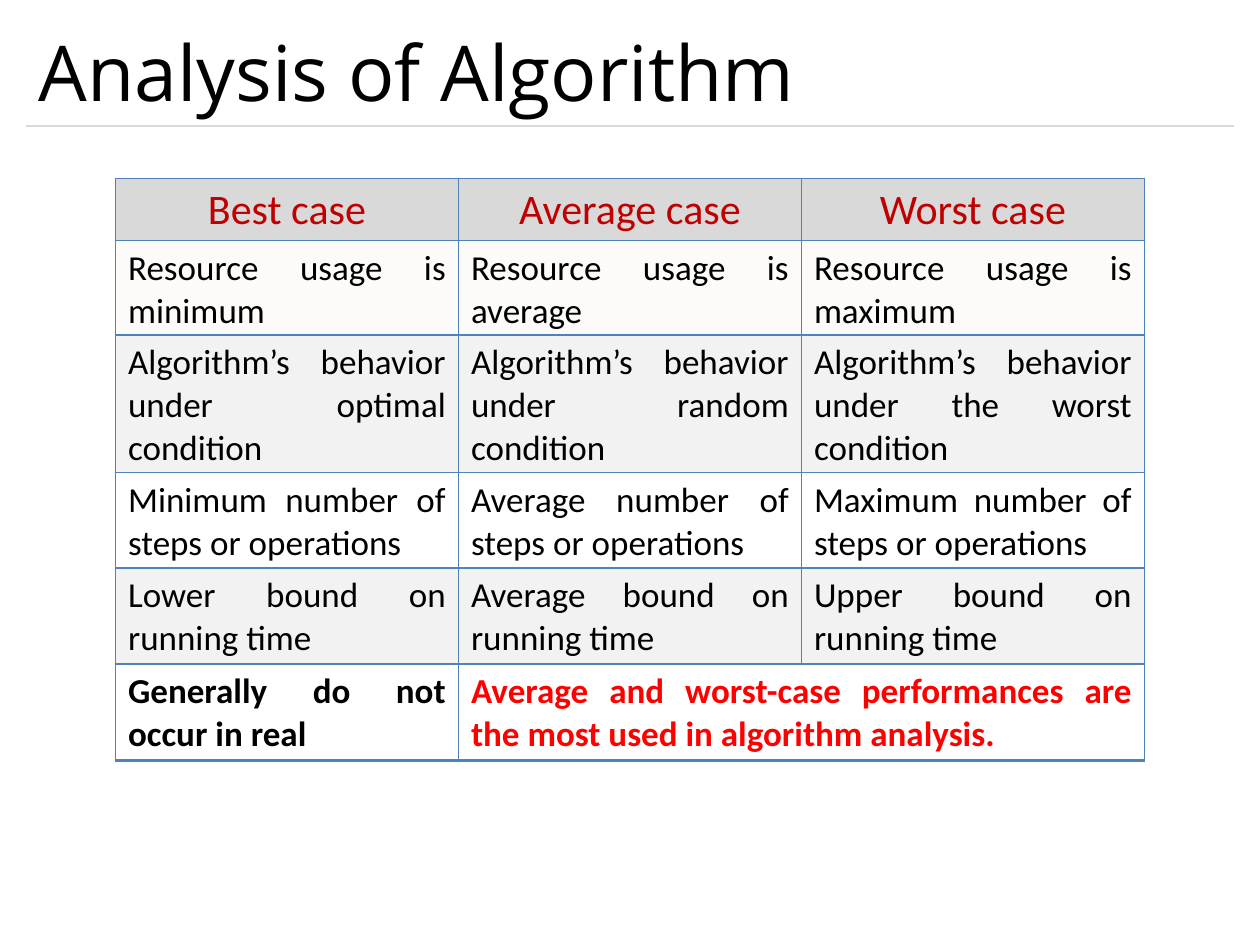
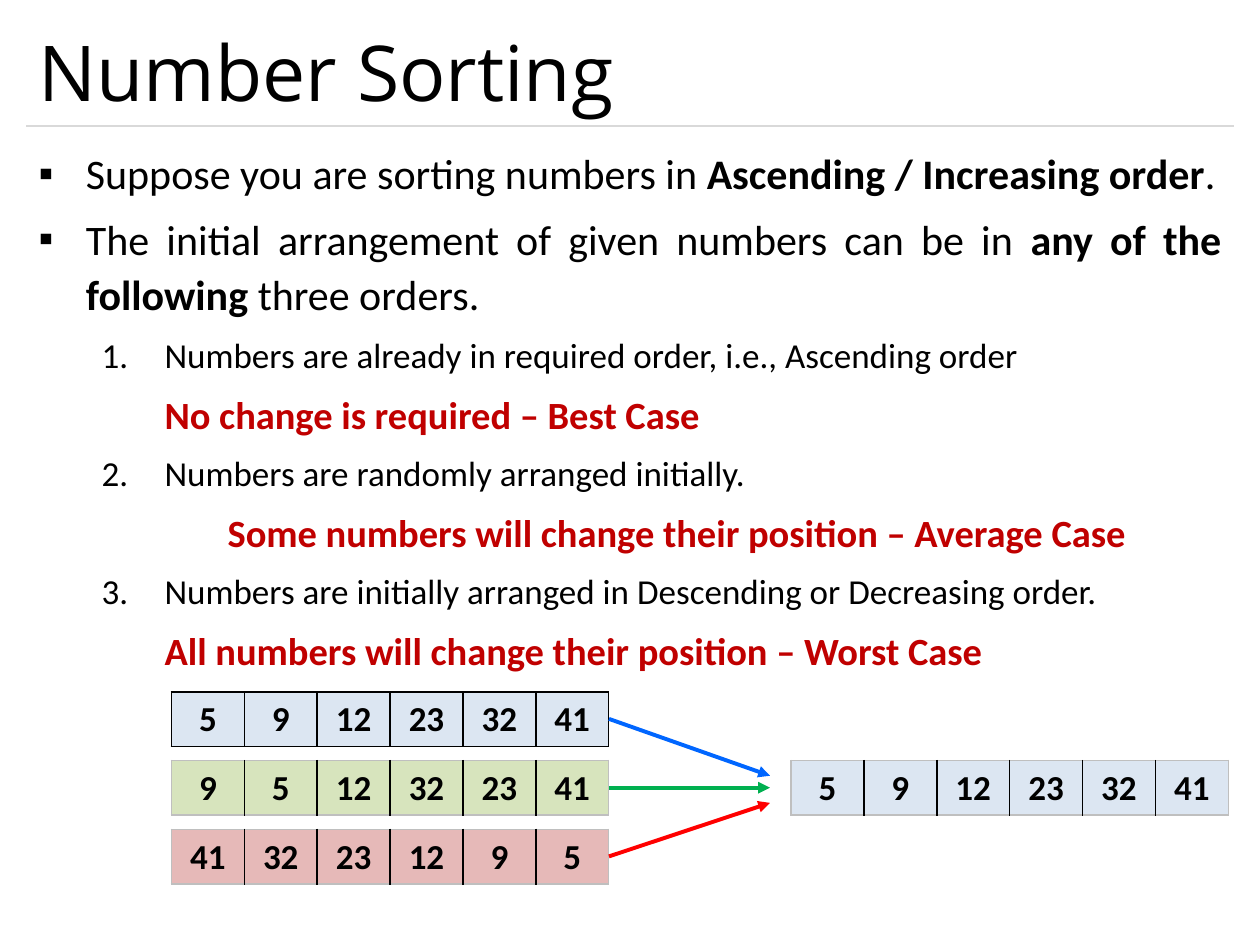
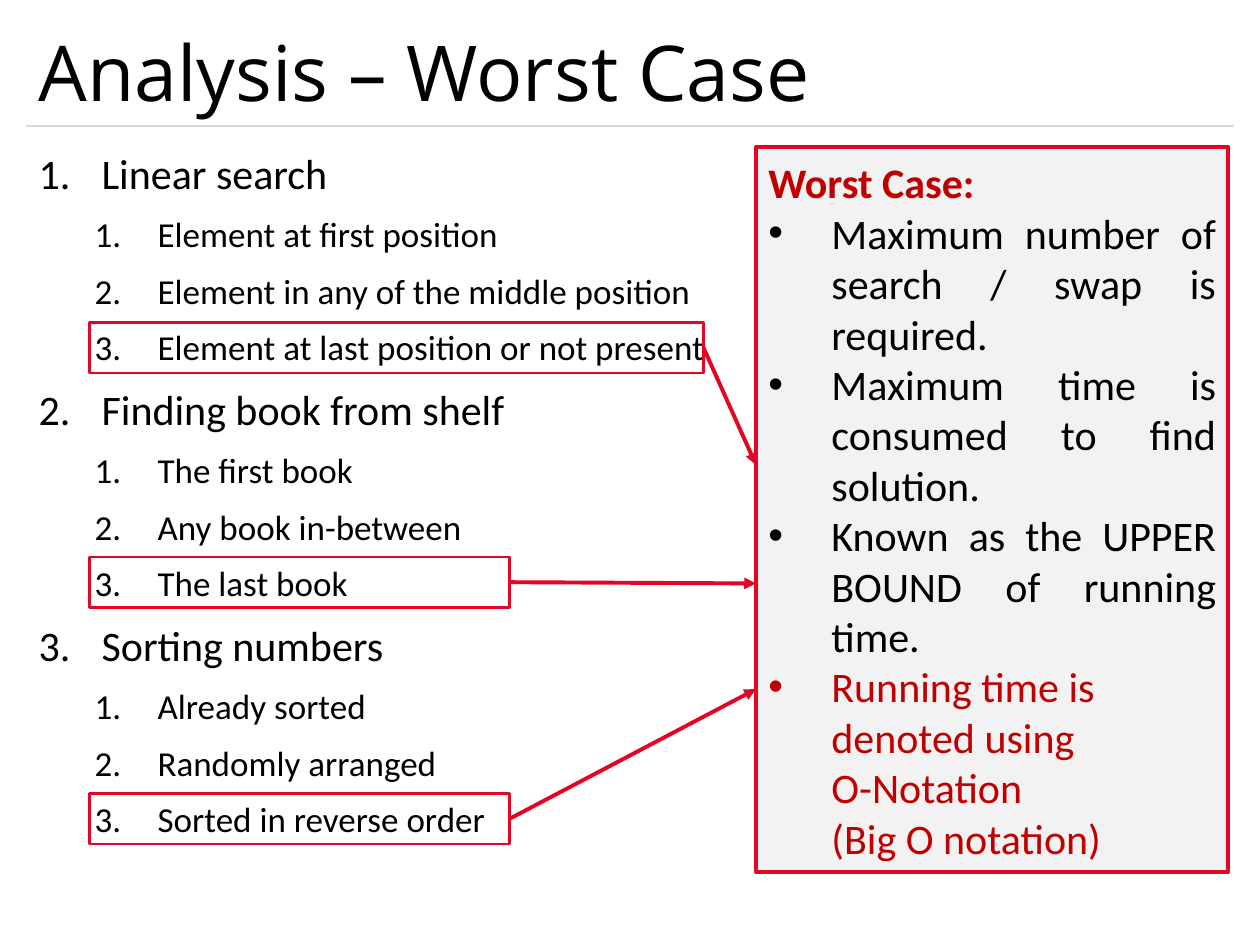
from lxml.etree import SubElement as sub_element
from pptx import Presentation
from pptx.dml.color import RGBColor as Rgb
from pptx.enum.shapes import MSO_CONNECTOR as Connector, MSO_SHAPE as Shape
from pptx.enum.text import MSO_ANCHOR as Anchor, PP_ALIGN as Align
from pptx.oxml.ns import qn
from pptx.util import Pt

COLORS = {
    "black": "000000", "white": "FFFFFF", "rule": "D9D9D9", "grid": "4F81BD",
    "header": "D9D9D9", "cream": "FCFBF9", "gray": "F2F2F2", "edge": "BFBFBF",
    "accent": "C00000", "bright": "FF0000", "frame": "E40524",
    "sorted": "DCE6F2", "random": "D7E4BD", "reverse": "E6B9B8",
    "blue arrow": "0066FF", "green arrow": "00B050",
}
TITLE_BOX = (15, 8.6, 690, 63.4)
BODY_BOX = (15, 77.8, 690, 420)

# Paragraph formats: list geometry, spacing and default font
BODY = {"align": Align.JUSTIFY, "line_spacing": 1.1, "space_after": Pt(6)}
POINT = {**BODY, "margin": 27, "hang": 27, "bullet": "▪", "size": 24}
CASE = {**BODY, "level": 1, "margin": 72, "hang": 36, "bullet": "1.", "size": 20}
RESULT = {**BODY, "level": 2, "margin": 72, "size": 22, "bold": True, "color": "accent"}
TOPIC = {**BODY, "margin": 36, "hang": 36, "bullet": "1.", "size": 24}
OPTION = {**CASE, "margin": 68}
FACT = {"align": Align.JUSTIFY, "margin": 36, "hang": 36, "bullet": "•", "size": 24}


def color(name):
    return Rgb.from_string(COLORS[name])


# Text
def add_span(para, text, size, font="Calibri", bold=False, ink="black"):
    span = para.add_run()
    span.text = text
    for key, value in {"name": font, "size": Pt(size), "bold": bold}.items():
        setattr(span.font, key, value)
    span.font.color.rgb = color(ink)


def set_list(para, style):
    properties = para._p.get_or_add_pPr()
    hang = style.get("hang", 0)
    properties.set("marL", str(Pt(style.get("margin", 0))))
    properties.set("indent", str(-Pt(hang)))
    bullet = style.get("bullet")
    if bullet == "1.":
        sub_element(properties, qn("a:buFont"), typeface="+mj-lt")
        sub_element(properties, qn("a:buAutoNum"), type="arabicPeriod")
    elif bullet:
        sub_element(properties, qn("a:buFont"), typeface="Arial")
        sub_element(properties, qn("a:buChar"), char=bullet)
    else:
        sub_element(properties, qn("a:buNone"))


def write(frame, entries):
    """Each entry is a style and its text; every second part between * is bold."""
    for index, (style, text) in enumerate(entries):
        para = frame.add_paragraph() if index else frame.paragraphs[0]
        for key in ("align", "level", "line_spacing", "space_after"):
            if key in style:
                setattr(para, "alignment" if key == "align" else key, style[key])
        set_list(para, style)
        for row, line in enumerate(text.split("\n")):
            if row:
                para.add_line_break()
            for part, words in enumerate(line.split("*")):
                add_span(para, words, style["size"], style.get("font", "Calibri"),
                         style.get("bold", False) or part % 2 == 1,
                         style.get("color", "black"))


def add_text(page, box, entries, anchor=Anchor.TOP):
    frame = page.shapes.add_textbox(*map(Pt, box)).text_frame
    frame.word_wrap = True
    frame.vertical_anchor = anchor
    write(frame, entries)


# Lines and boxes
def add_line(page, start, end, ink, width, arrow=False):
    line = page.shapes.add_connector(Connector.STRAIGHT, *map(Pt, (*start, *end)))
    line.line.color.rgb = color(ink)
    line.line.width = Pt(width)
    properties = line._element.spPr
    if arrow:
        sub_element(properties.find(qn("a:ln")), qn("a:tailEnd"), type="triangle")
    sub_element(properties, qn("a:effectLst"))
    return line


def add_frame(page, box, width, fill=None):
    frame = page.shapes.add_shape(Shape.RECTANGLE, *map(Pt, box))
    frame.shadow.inherit = False
    if fill:
        frame.fill.solid()
        frame.fill.fore_color.rgb = color(fill)
    else:
        frame.fill.background()
    frame.line.color.rgb = color("frame")
    frame.line.width = Pt(width)
    return frame


# Tables
def set_borders(cell, borders):
    properties = cell._tc.get_or_add_tcPr()
    for index, side in enumerate("LRTB"):
        ink, width = borders[side]
        line = properties.makeelement(qn(f"a:ln{side}"), {"w": str(Pt(width))})
        sub_element(sub_element(line, qn("a:solidFill")), qn("a:srgbClr"), val=COLORS[ink])
        properties.insert(index, line)


def add_strip(page, box, widths, texts, styles, fill, borders_at):
    """One-row table; borders_at gives the borders of a column."""
    table = page.shapes.add_table(1, len(texts), *map(Pt, box)).table
    table.first_row = table.horz_banding = False
    table.rows[0].height = Pt(box[3])
    for index, (width, text, style) in enumerate(zip(widths, texts, styles)):
        table.columns[index].width = Pt(width)
        cell = table.cell(0, index)
        cell.fill.solid()
        cell.fill.fore_color.rgb = color(fill)
        set_borders(cell, borders_at(index))
        write(cell.text_frame, [(style, text)])


def add_case_table(page, left, top, width):
    third = width / 3
    header = {"align": Align.CENTER, "size": 24, "color": "accent"}
    plain = {"align": Align.JUSTIFY, "size": 20}
    bold = {**plain, "bold": True}
    strong = {**bold, "color": "bright"}
    thin = ("grid", 1)
    borders = {"L": thin, "R": thin, "T": thin, "B": ("grid", 2)}
    cases = ("Best", "Average", "Worst")
    amounts = ("minimum", "average", "maximum")
    conditions = ("optimal", "random", "the worst")
    bounds = ("Lower", "Average", "Upper")
    # Offset, height, fill, texts
    rows = [
        (0, 36, "header", [f"{case} case" for case in cases]),
        (35.5, 55.2, "cream", [f"Resource usage is {amount}" for amount in amounts]),
        (89.5, 79.2, "gray",
         [f"Algorithm’s behavior under {state} condition" for state in conditions]),
        (168, 55.2, "white",
         [f"{amount.title()} number of steps or operations" for amount in amounts]),
        (222.5, 55.2, "gray", [f"{bound} bound on running time" for bound in bounds]),
        (277.5, 55.2, "white",
         ["Generally do not occur in real",
          "Average and worst-case performances are the most used in algorithm analysis."]),
    ]
    for offset, height, fill, texts in rows:
        widths, styles = [third] * 3, [plain] * 3
        if fill == "header":
            styles = [header] * 3
        elif len(texts) == 2:
            widths, styles = [third, 2 * third], [bold, strong]
        add_strip(page, (left, top + offset, width, height), widths, texts, styles,
                  fill, lambda index: borders)


def add_numbers(page, left, top, numbers, fill, edge="edge"):
    width, height, last = 250, 31, len(numbers) - 1
    black, outer = ("black", 1), (edge, 1)

    def borders_at(index):
        return {"L": black if index else outer, "R": black if index < last else outer,
                "T": outer, "B": outer}

    style = {"align": Align.CENTER, "size": 20, "bold": True}
    count = len(numbers)
    add_strip(page, (left, top, width, height), [width / count] * count,
              [str(number) for number in numbers], [style] * count, fill, borders_at)


# Regions
def add_page(deck, title):
    page = deck.slides.add_slide(deck.slide_layouts[6])
    left, top, width, height = TITLE_BOX
    add_line(page, (left, top + height), (left + width, top + height), "rule", 0.75)
    add_text(page, TITLE_BOX, [({"size": 44, "font": "Open Sans"}, title)], Anchor.MIDDLE)
    return page


def add_sorting_diagram(page, left, top):
    ordered = (5, 9, 12, 23, 32, 41)
    step, middle = 39.3, 15.5
    starts = [
        (ordered, "sorted", "black", "blue arrow", 48),
        ((9, 5, 12, 32, 23, 41), "random", "edge", "green arrow", 54.8),
        (ordered[::-1], "reverse", "edge", "bright", 63.5),
    ]
    for row, (numbers, fill, edge, *_) in enumerate(starts):
        add_numbers(page, left, top + row * step, numbers, fill, edge)
    add_numbers(page, left + 354, top + step, ordered, "sorted")
    for row, (*_, ink, end) in enumerate(starts):
        add_line(page, (left + 250, top + row * step + middle),
                 (left + 342, top + end), ink, 2.25, arrow=True)


def add_worst_panel(page, box):
    frame = add_frame(page, box, 2.25, "gray").text_frame
    frame.word_wrap = True
    frame.vertical_anchor = Anchor.MIDDLE
    write(frame, [
        ({"align": Align.LEFT, "size": 24, "bold": True, "color": "accent"}, "Worst Case:"),
        (FACT, "Maximum number of search / swap is required."),
        (FACT, "Maximum time is consumed to find solution."),
        (FACT, "Known as the UPPER BOUND of running time."),
        ({**FACT, "align": Align.LEFT, "color": "accent"},
         "Running time is denoted using \nO-Notation\n(Big O notation)"),
    ])


def add_highlights(page, left, panel_left):
    # Top, width, height at which the arrow meets the panel
    for top, width, target in ((184.3, 351, 265.7), (318.3, 240, 333.4), (453.6, 240, 393.8)):
        mark = add_frame(page, (left, top, width, 28.8), 1.5)
        arrow = add_line(page, (left + width, top + 14.4), (panel_left, target),
                         "frame", 2.25, arrow=True)
        arrow.begin_connect(mark, 3)


# Slides
def build_analysis(deck):
    page = add_page(deck, "Analysis of Algorithm")
    add_case_table(page, 66, 102, 588)


def build_sorting(deck):
    page = add_page(deck, "Number Sorting")
    add_text(page, BODY_BOX, [
        (POINT, "Suppose you are sorting numbers in *Ascending / Increasing order*."),
        (POINT, "The initial arrangement of given numbers can be in "
                "*any of the following *three orders."),
        (CASE, "Numbers are already in required order, i.e., Ascending order"),
        (RESULT, "No change is required – Best Case"),
        (CASE, "Numbers are randomly arranged initially."),
        ({**RESULT, "margin": 108}, "Some numbers will change their position – Average Case"),
        (CASE, "Numbers are initially arranged in Descending or Decreasing order."),
        (RESULT, "All numbers will change their position – Worst Case"),
    ])
    add_sorting_diagram(page, 98, 395.3)


def build_worst_case(deck):
    page = add_page(deck, "Analysis – Worst Case")
    topics = {
        "Linear search": ("Element at first position",
                          "Element in any of the middle position",
                          "Element at last position or not present"),
        "Finding book from shelf": ("The first book", "Any book in-between", "The last book"),
        "Sorting numbers": ("Already sorted", "Randomly arranged", "Sorted in reverse order"),
    }
    entries = []
    for topic, options in topics.items():
        entries += [(TOPIC, topic), *((OPTION, option) for option in options)]
    add_text(page, BODY_BOX, entries)
    panel = (432, 84, 270, 414.5)
    add_worst_panel(page, panel)
    add_highlights(page, 51, panel[0])


def main():
    deck = Presentation()
    deck.slide_width, deck.slide_height = Pt(720), Pt(540)
    for build in (build_analysis, build_sorting, build_worst_case):
        build(deck)
    deck.save("out.pptx")


if __name__ == "__main__":
    main()
